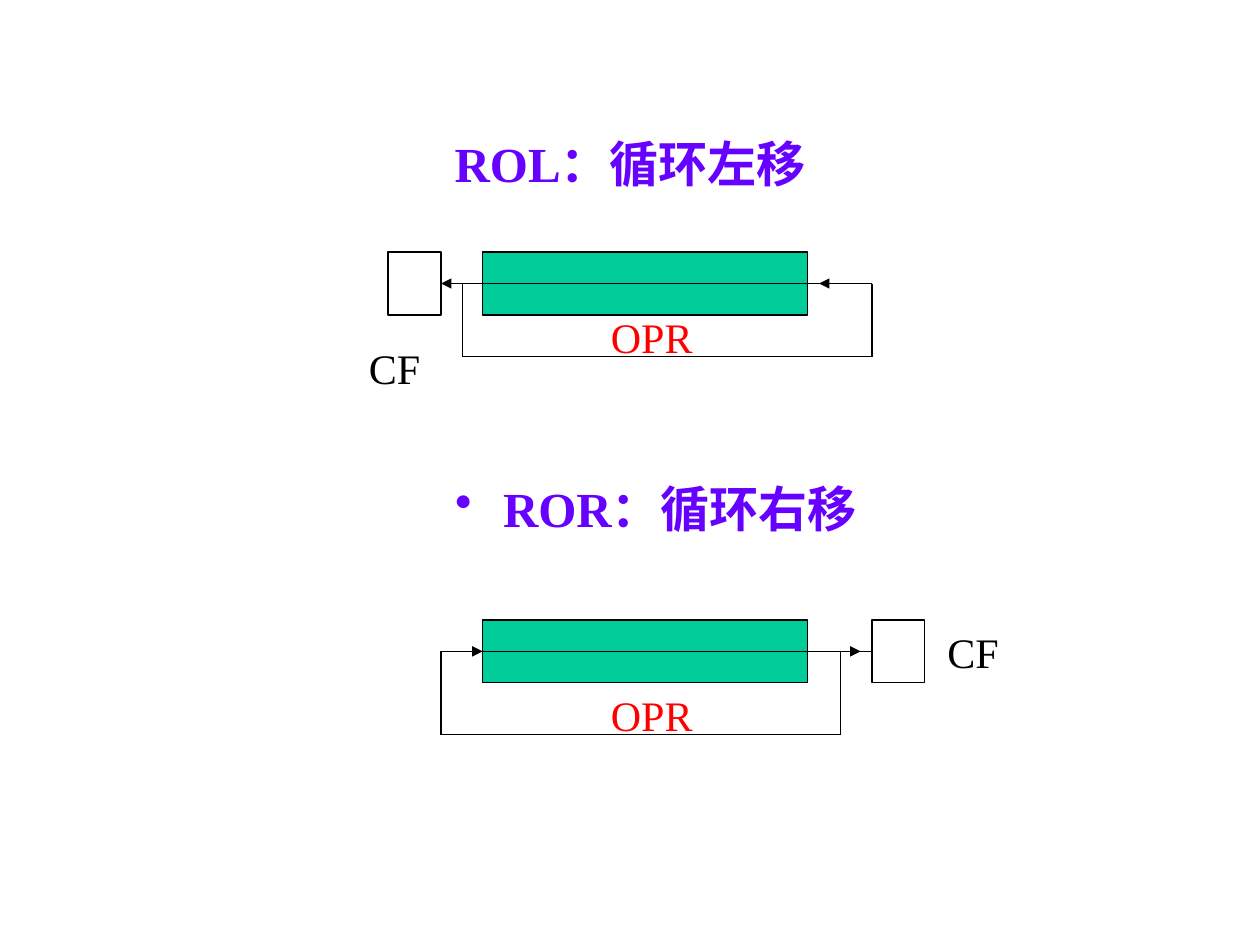
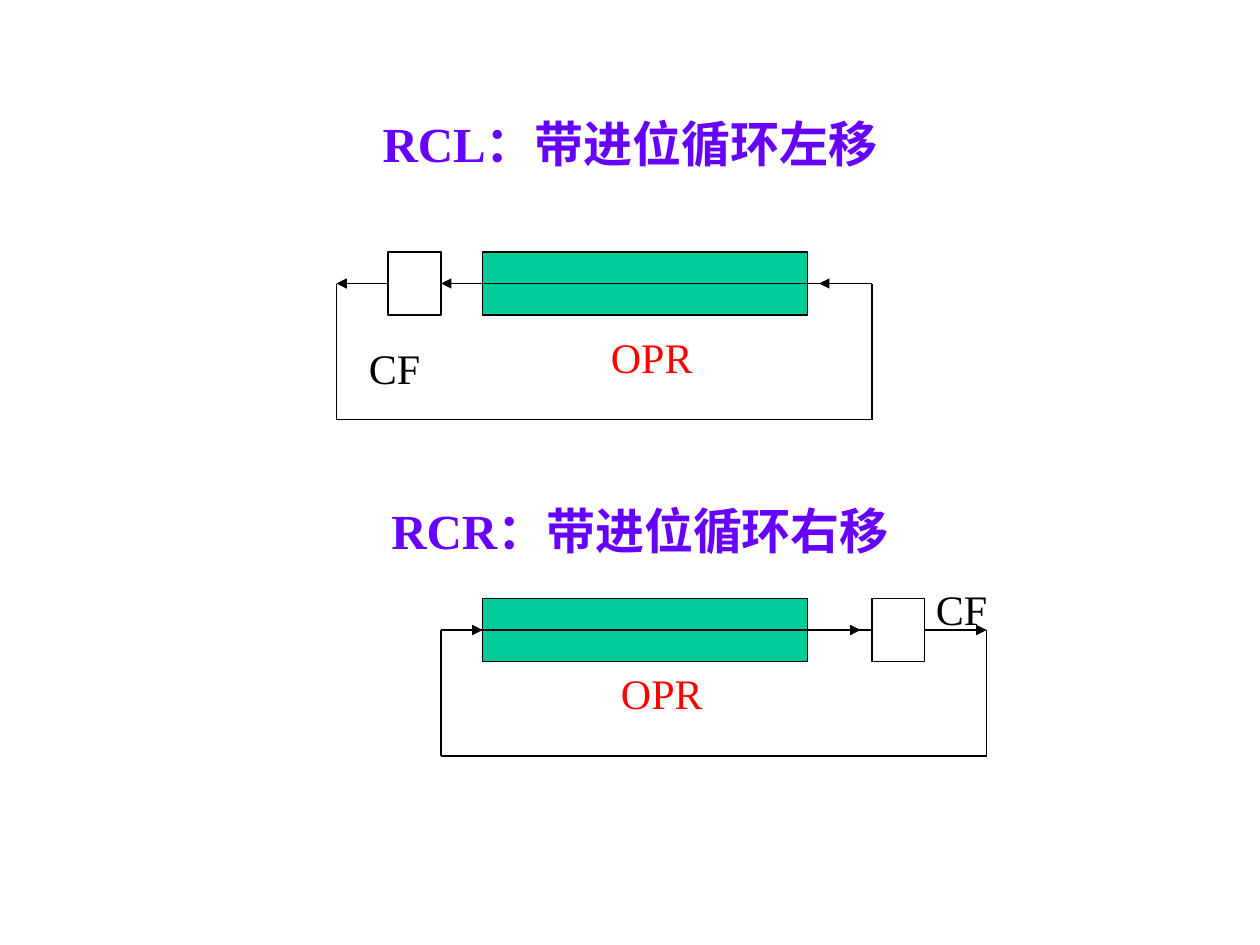
"""Build two slides that show the rotate instructions ROL, ROR, RCL and RCR."""
import lxml.etree
import pptx
import pptx.dml.color
import pptx.enum.lang
import pptx.enum.shapes
import pptx.enum.text
import pptx.oxml.ns
import pptx.util

Inches = pptx.util.Inches
RGB = pptx.dml.color.RGBColor
ALIGN = pptx.enum.text.PP_ALIGN
ANCHOR = pptx.enum.text.MSO_ANCHOR

BLACK = RGB(0x00, 0x00, 0x00)
WHITE = RGB(0xFF, 0xFF, 0xFF)
GREEN = RGB(0x00, 0xCC, 0x99)
RED = RGB(0xFF, 0x00, 0x00)
VIOLET = RGB(0x66, 0x00, 0xFF)
FONT = "Times New Roman"

SLIDES = [
    [
        dict(title="ROL：循环左移", place=(0.75, 0.67, 8.5, 1.25), middle=True,
             left=True, carry=False, top=2, loop=(3.67, 6.92, 2.83),
             flag=(2.83, 2.67), label=(4.75, 2.42)),
        dict(title="ROR：循环右移", place=(2.08, 3.75, 6.25, 0.58), bullet=True,
             left=False, carry=False, top=4.92, loop=(3.5, 6.67, 5.83),
             flag=(7.42, 4.92), label=(4.75, 5.42)),
    ],
    [
        dict(title="RCL：带进位循环左移", place=(0.75, 0.67, 8.5, 0.92), middle=True,
             left=True, carry=True, top=2, loop=(2.67, 6.92, 3.33),
             flag=(2.83, 2.67), label=(4.75, 2.58)),
        dict(title="RCR：带进位循环右移", place=(0.83, 3.92, 8.5, 0.58),
             left=False, carry=True, top=4.75, loop=(3.5, 7.83, 6),
             flag=(7.33, 4.58), label=(4.83, 5.25)),
    ],
]

BAR_X, BAR_W = 3.83, 2.58
BIT_W, HIGH = 0.42, 0.5
AXIS = (3.67, 6.92)
ARROWS = [(3.5, 3.83), (6.5, 6.83)]


def add_text(slide, text, place, size=24, color=BLACK, bold=False,
             align=ALIGN.LEFT, middle=False, bullet=False):
    box = slide.shapes.add_textbox(*map(Inches, place))
    frame = box.text_frame
    frame.word_wrap = True
    frame.vertical_anchor = ANCHOR.MIDDLE if middle else ANCHOR.TOP
    para = frame.paragraphs[0]
    para.alignment = align
    run = para.add_run()
    run.text = text
    font = run.font
    font.name, font.size, font.bold = FONT, pptx.util.Pt(size), bold
    font.color.rgb = color
    font.language_id = pptx.enum.lang.MSO_LANGUAGE_ID.SIMPLIFIED_CHINESE
    if bullet:
        props = para._p.get_or_add_pPr()
        props.set("marL", str(Inches(0.38)))
        props.set("indent", str(-Inches(0.38)))
        mark = lxml.etree.SubElement(props, pptx.oxml.ns.qn("a:buChar"))
        mark.set("char", "•")


def add_rect(slide, x, y, width, fill):
    kind = pptx.enum.shapes.MSO_SHAPE.RECTANGLE
    rect = slide.shapes.add_shape(kind, *map(Inches, (x, y, width, HIGH)))
    rect.shadow.inherit = False
    rect.fill.solid()
    rect.fill.fore_color.rgb = fill
    rect.line.color.rgb = BLACK
    rect.line.width = pptx.util.Pt(0.75)


def add_line(slide, x1, y1, x2, y2, arrow=False):
    kind = pptx.enum.shapes.MSO_CONNECTOR.STRAIGHT
    line = slide.shapes.add_connector(kind, *map(Inches, (x1, y1, x2, y2)))
    line.line.color.rgb = BLACK
    line.line.width = pptx.util.Pt(0.75)
    if arrow:
        tip = lxml.etree.SubElement(line.line._get_or_add_ln(),
                                    pptx.oxml.ns.qn("a:tailEnd"))
        tip.set("type", "triangle")
    lxml.etree.SubElement(line._element.spPr, pptx.oxml.ns.qn("a:effectLst"))


def draw_shift(slide, shift):
    add_text(slide, shift["title"], shift["place"], size=28, color=VIOLET,
             bold=True, align=ALIGN.CENTER, middle=shift.get("middle", False),
             bullet=shift.get("bullet", False))
    top, left = shift["top"], shift["left"]
    mid = top + HIGH / 2
    start, end, base = shift["loop"]
    bit_x = 3.08 if left else 6.92

    add_rect(slide, BAR_X, top, BAR_W, GREEN)
    add_line(slide, AXIS[0], mid, AXIS[1], mid)
    for pair in ARROWS:
        tail, tip = reversed(pair) if left else pair
        add_line(slide, tail, mid, tip, mid, arrow=True)
    add_rect(slide, bit_x, top, BIT_W, WHITE)

    for x in (start, end):
        add_line(slide, x, mid, x, base)
    add_line(slide, start, base, end, base)
    if shift["carry"]:
        tail, tip = (bit_x, start) if left else (bit_x + BIT_W, end)
        add_line(slide, tail, mid, tip, mid, arrow=True)

    add_text(slide, "CF", (*shift["flag"], 0.67, 0.5))
    add_text(slide, "OPR", (*shift["label"], 0.92, 0.5), color=RED)


def main():
    deck = pptx.Presentation()
    deck.slide_width, deck.slide_height = Inches(10), Inches(7.5)
    for shifts in SLIDES:
        slide = deck.slides.add_slide(deck.slide_layouts[6])
        for shift in shifts:
            draw_shift(slide, shift)
    deck.save("out.pptx")


if __name__ == "__main__":
    main()
